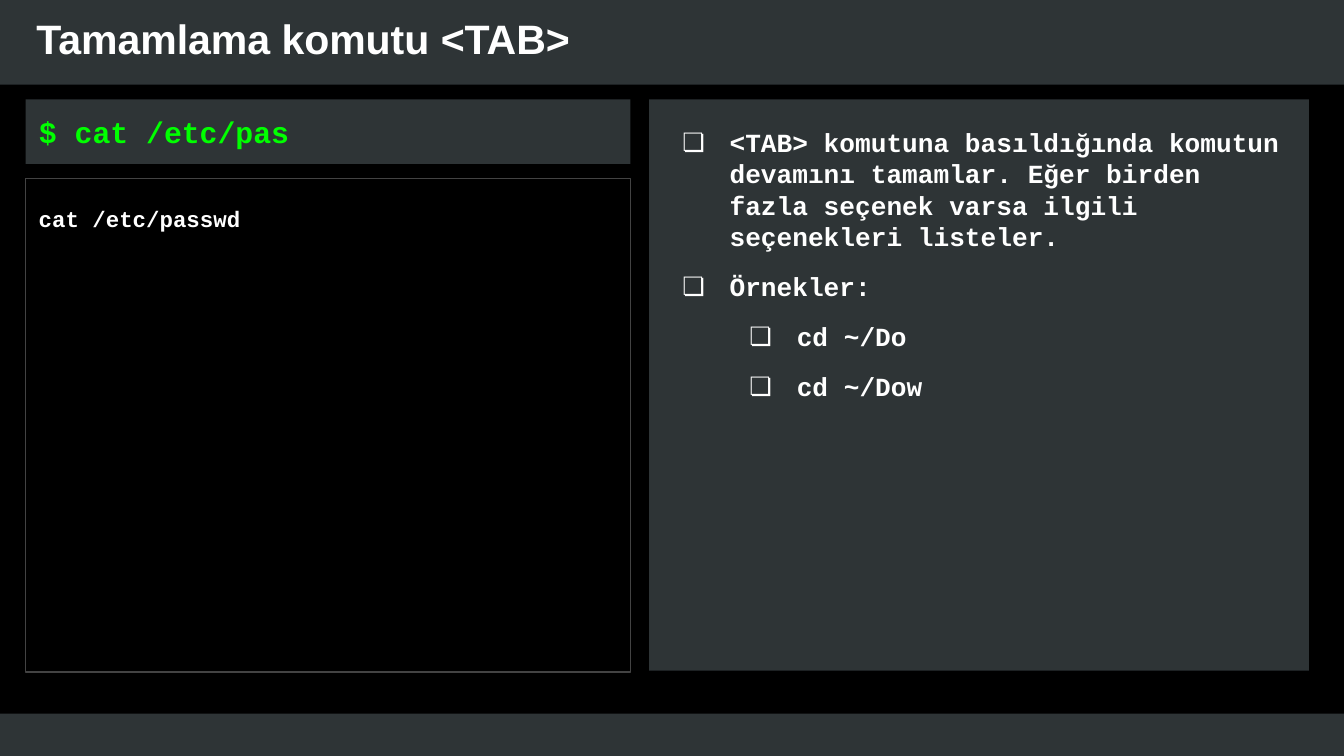
from dataclasses import dataclass

from lxml.etree import SubElement
from pptx import Presentation
from pptx.dml.color import RGBColor
from pptx.enum.shapes import MSO_SHAPE
from pptx.enum.text import MSO_ANCHOR as Anchor, PP_ALIGN as Align
from pptx.oxml.ns import qn
from pptx.util import Inches, Pt

BLACK, SLATE, GRAY = "000000", "2E3436", "434343"
WHITE, GREEN = "FFFFFF", "00FF00"
MONO = "Courier New"
LEFT, TOP = 0.19, 0.74


@dataclass
class Line:
    text: str
    level: int = 0
    indent: float = 0
    hanging: float = 0
    before: float = 0
    after: float = 0
    bullet: str = ""


@dataclass
class Panel:
    box: tuple[float, float, float, float]
    lines: list[Line]
    size: float
    fill: str | None = SLATE
    border: str | None = None
    color: str = WHITE
    anchor: Anchor = Anchor.TOP
    insets: tuple[float, float, float, float] = (0.1, 0.2, 0.1, 0.1)


def rgb(value: str) -> RGBColor:
    return RGBColor.from_string(value)


def style_font(paragraph, name: str, size: float, color: str) -> None:
    font = paragraph.font
    font.name, font.size, font.bold = name, Pt(size), True
    font.color.rgb = rgb(color)


def set_insets(frame, insets: tuple[float, float, float, float]) -> None:
    """Set left, top, right and bottom insets."""
    (frame.margin_left, frame.margin_top,
     frame.margin_right, frame.margin_bottom) = map(Inches, insets)


def add_rect(slide, box, fill: str | None, border: str | None = None):
    rect = slide.shapes.add_shape(MSO_SHAPE.RECTANGLE, *map(Inches, box))
    rect.shadow.inherit = False
    if fill:
        rect.fill.solid()
        rect.fill.fore_color.rgb = rgb(fill)
    else:
        rect.fill.background()
    if border:
        rect.line.color.rgb = rgb(border)
        rect.line.width = Pt(0.75)
    else:
        rect.line.fill.background()
    return rect


def set_indent(paragraph, line: Line) -> None:
    """Set the indents and, where there is one, the bullet."""
    props = paragraph._p.get_or_add_pPr()
    props.set("marL", str(Inches(line.indent)))
    props.set("indent", str(Inches(-line.hanging)))
    if line.bullet:
        color = SubElement(props, qn("a:buClr"))
        SubElement(color, qn("a:srgbClr"), val=WHITE)
        SubElement(props, qn("a:buSzPct"), val="140000")
        SubElement(props, qn("a:buFont"), typeface=MONO)
        SubElement(props, qn("a:buChar"), char=line.bullet)


def add_panel(slide, panel: Panel) -> None:
    frame = add_rect(slide, panel.box, panel.fill, panel.border).text_frame
    frame.word_wrap = True
    frame.vertical_anchor = panel.anchor
    set_insets(frame, panel.insets)
    for i, line in enumerate(panel.lines):
        paragraph = frame.add_paragraph() if i else frame.paragraphs[0]
        paragraph.text = line.text
        paragraph.level = line.level
        paragraph.alignment = Align.LEFT
        set_indent(paragraph, line)
        paragraph.space_before = Pt(line.before)
        paragraph.space_after = Pt(line.after)
        style_font(paragraph, MONO, panel.size, panel.color)


def set_title(slide, text: str) -> None:
    title = slide.shapes.title
    title.left, title.top, title.width, title.height = map(
        Inches, (0.17, 0, 8.58, 0.56))
    slide.shapes._spTree.append(title._element)  # in front of the header band
    frame = title.text_frame
    frame.text = text
    frame.word_wrap = True
    frame.vertical_anchor = Anchor.MIDDLE
    set_insets(frame, (0.1, 0.1, 0.1, 0.1))
    heading = frame.paragraphs[0]
    heading.alignment = Align.LEFT
    style_font(heading, "Arial", 22, WHITE)


def bullet(text: str, level: int = 0, before: float = 10, after: float = 0) -> Line:
    return Line(text, level, 0.5 * (level + 1), 0.35, before, after, "❏")


PANELS = [
    Panel((LEFT, 1.33, 4.5, 3.67), [Line("cat /etc/passwd")], 12,
          fill=None, border=GRAY),
    Panel((LEFT, TOP, 4.5, 0.48), [Line("$ cat /etc/pas", indent=0.1)], 16,
          color=GREEN, anchor=Anchor.MIDDLE, insets=(0, 0, 0, 0)),
    Panel((4.83, TOP, 4.91, 4.25), [
        bullet("<TAB> komutuna basıldığında komutun devamını tamamlar. "
               "Eğer birden fazla seçenek varsa ilgili seçenekleri listeler.",
               before=0),
        bullet("Örnekler:"),
        bullet("cd ~/Do", level=1),
        bullet("cd ~/Dow", level=1, after=10),
    ], 14, insets=(0.1, 0.2, 0.12, 0.1)),
]


def main() -> None:
    deck = Presentation()
    deck.slide_width = Inches(10)
    deck.slide_height = deck.slide_width * 9 // 16
    slide = deck.slides.add_slide(deck.slide_layouts[5])
    slide.background.fill.solid()
    slide.background.fill.fore_color.rgb = rgb(BLACK)

    for band in ((-0.03, 5.31, 10.08, 0.37), (-0.03, -0.08, 10.06, 0.71)):
        add_rect(slide, band, SLATE)
    set_title(slide, "Tamamlama komutu <TAB>")
    for panel in PANELS:
        add_panel(slide, panel)
    deck.save("out.pptx")


if __name__ == "__main__":
    main()
